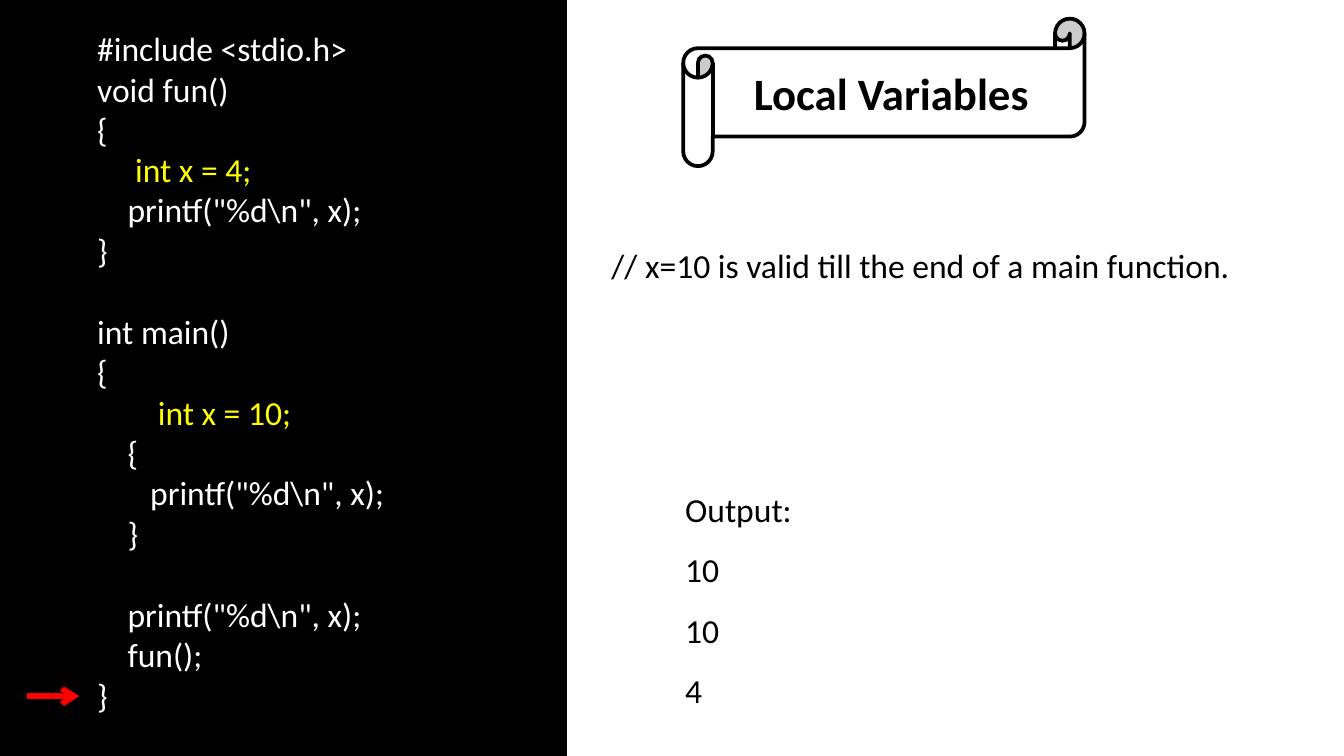
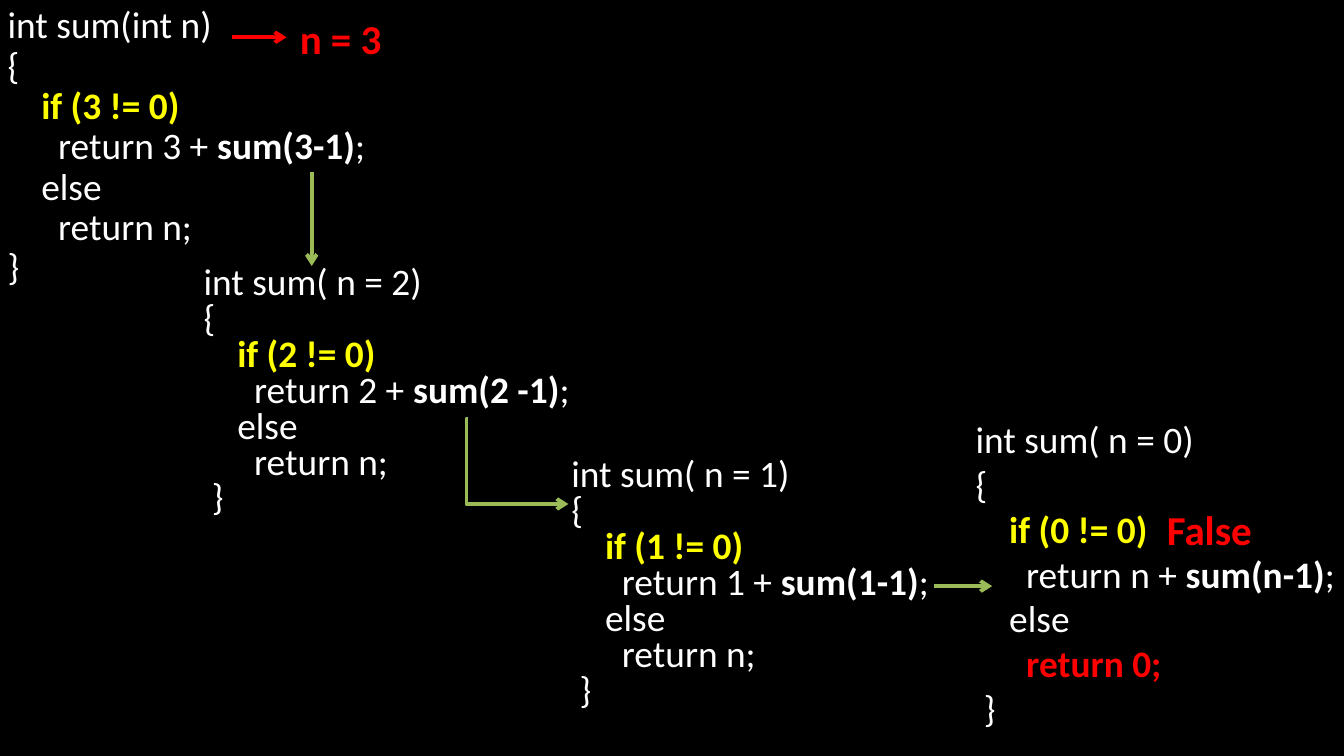
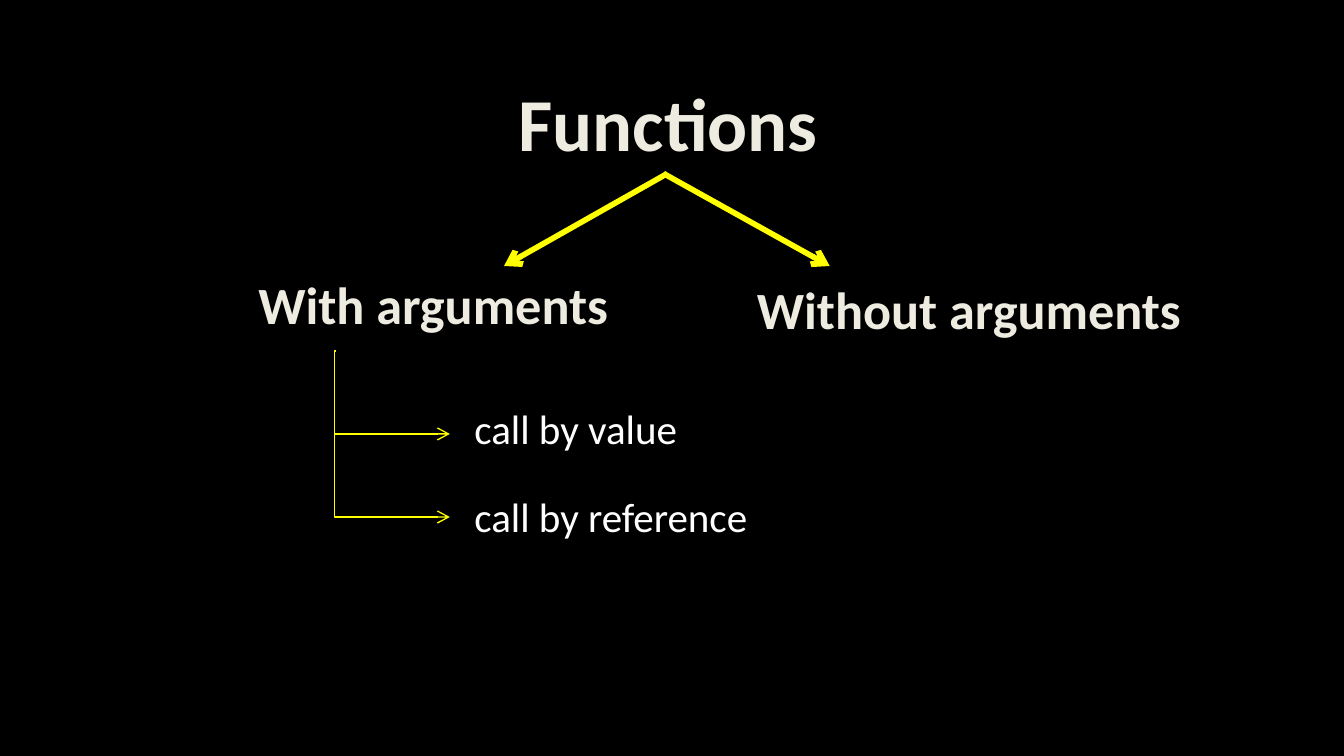
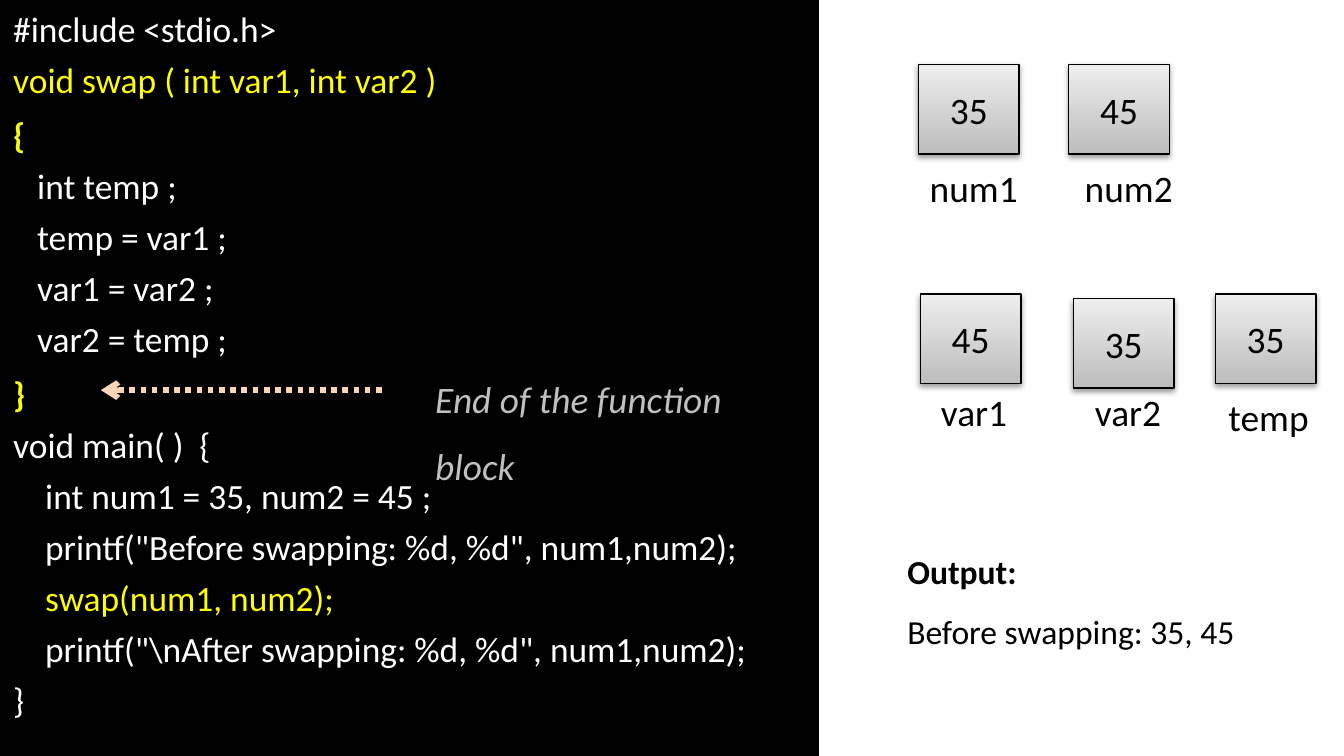
from pptx import Presentation
from pptx.dml.color import RGBColor
from pptx.enum import dml, shapes, text
from pptx.oxml import parse_xml
from pptx.oxml.ns import nsdecls, qn
from pptx.util import Pt

# ---- Shared look ----
FONT = "Calibri"
BLACK, WHITE, YELLOW, RED, GREEN = "000000", "FFFFFF", "FFFF00", "FF0000", "9BBB59"
CREAM, PEACH, SILVER = "EEECE1", "FCD5B5", "BFBFBF"
# style name: colour, bold, italic
STYLES = {
    "code": (WHITE, False, False),
    "call": (WHITE, True, False),
    "key": (YELLOW, False, False),
    "test": (YELLOW, True, False),
    "brace": ("F6FC14", True, False),
    "alert": (RED, True, False),
    "dark": (BLACK, False, False),
    "strong": (BLACK, True, False),
    "heading": (CREAM, True, False),
    "note": (SILVER, False, True),
}

# ---- Content: a line is plain code, or a list of (text, style) spans ----
SCOPE_CODE = [
    "#include <stdio.h>",
    "void fun()",
    "{",
    [("     int x = 4;", "key")],
    r'    printf("%d\n", x);',
    "}",
    "int main()",
    "{",
    [("        int x = 10;", "key")],
    "    {",
    r'       printf("%d\n", x);',
    "    }",
    r'    printf("%d\n", x);',
    "    fun();",
    "}",
]
SCOPE_GAPS = {6: 22, 12: 22}
SCOPE_OUTPUT = ["Output:", "10", "10", "4"]

# signature, tested value, added value, inner call, closing brace, spacing, box
SUM_CALLS = [
    ("int sum(int n)", "3", "3", "sum(3-1)", "}", 0.9, (-3, 0, 297, 160)),
    ("int sum( n = 2)", "2", "2", "sum(2 -1)", " }", 0.8, (102, 139.5, 222, 143)),
    ("int sum( n = 1)", "1", "1", "sum(1-1)", " }", 0.8, (299, 242.5, 210, 143)),
    ("int sum( n = 0)", "0", "n", "sum(n-1)", " }", 1, (515.5, 219.5, 212, 177)),
]
SUM_REMARKS = [("n = 3", 1.5, (153.5, -9.5, 70, 47)),
               ("False", 0.9, (618, 270, 65, 31))]
SUM_ARROWS = [(167, 92, 167, 142.5), (500.5, 314, 531.5, 314)]

FUNCTION_KINDS = [("With arguments", (126, 142.5, 212, 41)),
                  ("Without arguments", (393, 145, 252, 41))]
KIND_ARROWS = [(355.5, 93, 444.5, 142.5), (357.5, 93, 270, 142.5)]
CALL_KINDS = [("call by value", 212.5), ("call by reference", 260)]

SWAP_CODE = [
    "#include <stdio.h>",
    [("void swap ( int var1, int var2 )", "key")],
    [("{", "brace")],
    "   int temp ;",
    "   temp = var1 ;",
    "   var1 = var2 ;",
    "   var2 = temp ;",
    [("}", "brace")],
    "void main( )  {",
    "    int num1 = 35, num2 = 45 ;",
    '    printf("Before swapping: %d, %d", num1,num2);',
    [("    swap(num1, num2);", "key")],
    r'    printf("\nAfter swapping: %d, %d", num1,num2);',
    "}",
]
SWAP_OUTPUT = [[("Output:", "strong")], "Before swapping: 35, 45"]
# name, value, cell corner, label corner
MEMORY_CELLS = [
    ("num1", "35", (492, 34.5), (491, 85)),
    ("num2", "45", (572.5, 34.5), (574, 85)),
    ("var1", "45", (493, 157.5), (497, 205)),
    ("var2", "35", (575, 160), (579.5, 205)),
    ("temp", "35", (651, 157.5), (651, 207.5)),
]


# ---- Helpers ----
def colour(value):
    return RGBColor.from_string(value)


def points(values):
    return [Pt(value) for value in values]


def write(frame, lines, size, style="code", spacing=1, align=None,
          spacings={}, gaps={}):
    """Fill a text frame; spacings and gaps override single lines by index."""
    frame.word_wrap = True
    frame.auto_size = text.MSO_AUTO_SIZE.NONE
    for index, line in enumerate(lines):
        para = frame.add_paragraph() if index else frame.paragraphs[0]
        para.line_spacing = spacings.get(index, spacing)
        para.space_before = Pt(gaps.get(index, 0))
        para.alignment = align
        for words, name in ([(line, style)] if isinstance(line, str) else line):
            span = para.add_run()
            span.text = words
            ink, bold, italic = STYLES[name]
            span.font.name, span.font.size = FONT, Pt(size)
            span.font.bold, span.font.italic = bold, italic
            span.font.color.rgb = colour(ink)


def add_text(page, place, lines, size, **options):
    box = page.shapes.add_textbox(*points(place))
    write(box.text_frame, lines, size, **options)


def add_block(page, kind, place, fill, width):
    block = page.shapes.add_shape(kind, *points(place))
    block.shadow.inherit = False
    if fill:
        block.fill.solid()
        block.fill.fore_color.rgb = colour(fill)
    block.line.color.rgb = colour(BLACK)
    block.line.width = Pt(width)
    return block


def add_panel(page, width):
    add_block(page, shapes.MSO_SHAPE.RECTANGLE, (0, 0, width, 405), BLACK, 2)


def add_arrow(page, ends, ink, width, bent=False, dash=None):
    kind = shapes.MSO_CONNECTOR.ELBOW if bent else shapes.MSO_CONNECTOR.STRAIGHT
    arrow = page.shapes.add_connector(kind, *points(ends))
    arrow.line.color.rgb = colour(ink)
    arrow.line.width = Pt(width)
    if dash:
        arrow.line.dash_style = dash
    properties = arrow._element.spPr
    properties.find(qn("a:ln")).append(
        parse_xml(f'<a:tailEnd {nsdecls("a")} type="arrow"/>'))
    properties.append(parse_xml(f'<a:effectLst {nsdecls("a")}/>'))
    if bent:  # the bend sits at the start, so the line first runs down
        geometry = properties.find(qn("a:prstGeom"))
        for old in geometry.findall(qn("a:avLst")):
            geometry.remove(old)
        geometry.append(parse_xml(
            f'<a:avLst {nsdecls("a")}><a:gd name="adj1" fmla="val -1200"/></a:avLst>'))


def add_memory_cell(page, name, value, corner, label_corner):
    cell = add_block(page, shapes.MSO_SHAPE.RECTANGLE, (*corner, 54, 48), None, 0.75)
    cell.fill.gradient()
    cell.fill.gradient_angle = 90
    for stop, shade in zip(cell.fill.gradient_stops, ("BDBDBD", "EEEEEE")):
        stop.color.rgb = colour(shade)
    effects = cell._element.spPr.find(qn("a:effectLst"))
    effects.append(parse_xml(
        f'<a:outerShdw {nsdecls("a")} blurRad="{Pt(3.1)}" dist="{Pt(1.6)}" '
        'dir="5400000" rotWithShape="0"><a:srgbClr val="000000">'
        '<a:alpha val="38000"/></a:srgbClr></a:outerShdw>'))
    cell.text_frame.vertical_anchor = text.MSO_ANCHOR.MIDDLE
    write(cell.text_frame, [value], 20, style="dark", align=text.PP_ALIGN.CENTER)
    add_text(page, (*label_corner, 65, 31.5), [name], 20, style="dark")


def add_page(deck, background, layout=6):
    page = deck.slides.add_slide(deck.slide_layouts[layout])
    page.background.fill.solid()
    page.background.fill.fore_color.rgb = colour(background)
    return page


# ---- Slides ----
def local_variables(deck):
    page = add_page(deck, WHITE)
    add_panel(page, 303)
    add_text(page, (45, 11.5, 247, 378), SCOPE_CODE, 18, gaps=SCOPE_GAPS)
    scroll = add_block(page, shapes.MSO_SHAPE.HORIZONTAL_SCROLL,
                       (366, 10, 215, 79), WHITE, 2)
    scroll.adjustments[0] = 0.2
    scroll.text_frame.vertical_anchor = text.MSO_ANCHOR.MIDDLE
    write(scroll.text_frame, ["Local Variables"], 24, style="strong",
          align=text.PP_ALIGN.CENTER)
    add_text(page, (320.5, 106, 369, 51),
             ["// x=10 is valid till the end of a main function."], 18,
             style="dark", spacing=2)
    add_text(page, (360, 247.5, 75, 138), SCOPE_OUTPUT, 18, style="dark", spacing=1.5)
    add_arrow(page, (14.5, 373, 42.5, 373), RED, 3)


def recursive_sum(deck):
    page = add_page(deck, BLACK)
    for head, value, added, call, close, spacing, place in SUM_CALLS:
        base_case = value == "0"
        lines = [
            head,
            "{",
            [(f"    if ({value} != 0)", "test")],
            [(f"      return {added} + ", "code"), (call, "call"), (";", "code")],
            "    else",
            [("      return 0;", "alert")] if base_case else "      return n;",
            close,
        ]
        add_text(page, place, lines, 20, spacing=spacing)
    for remark, spacing, place in SUM_REMARKS:
        add_text(page, place, [remark], 22, style="alert", spacing=spacing)
    add_arrow(page, (124.5, 20, 153.5, 20), RED, 2)
    for ends in SUM_ARROWS:
        add_arrow(page, ends, GREEN, 2)
    add_arrow(page, (250.5, 224.5, 304.5, 270), GREEN, 2, bent=True)


def function_kinds(deck):
    page = add_page(deck, BLACK, layout=5)
    title = page.shapes.title
    title.left, title.top, title.width, title.height = points((260, 37, 196, 56))
    write(title.text_frame, ["Functions"], 40, style="heading",
          align=text.PP_ALIGN.CENTER)
    for ends in KIND_ARROWS:
        add_arrow(page, ends, YELLOW, 3)
    for label, place in FUNCTION_KINDS:
        add_text(page, place, [label], 28, style="heading",
                 align=text.PP_ALIGN.CENTER)
    for index, (label, top) in enumerate(CALL_KINDS):
        start = 188 + index * 44.5
        add_arrow(page, (180, start, 241, start + 44.5), YELLOW, 0.75, bent=True)
        add_text(page, (247, top, 170, 34), [label], 22)


def swap_by_value(deck):
    page = add_page(deck, WHITE)
    add_panel(page, 438)
    add_text(page, (0, -4.5, 441.5, 398), SWAP_CODE, 19, spacing=1.2,
             spacings={2: 1.3, 7: 1.3})
    for cell in MEMORY_CELLS:
        add_memory_cell(page, *cell)
    add_text(page, (479, 291.5, 200, 62), SWAP_OUTPUT, 18, style="dark",
             spacings={1: 1.5})
    add_arrow(page, (204.5, 209, 54, 209), PEACH, 3, dash=dml.MSO_LINE.ROUND_DOT)
    add_text(page, (226, 186, 214.5, 43), ["End of the function block"], 20,
             style="note", spacing=1.5)


def main():
    deck = Presentation()
    deck.slide_width, deck.slide_height = Pt(720), Pt(405)
    for build in (local_variables, recursive_sum, function_kinds, swap_by_value):
        build(deck)
    deck.save("out.pptx")


if __name__ == "__main__":
    main()
